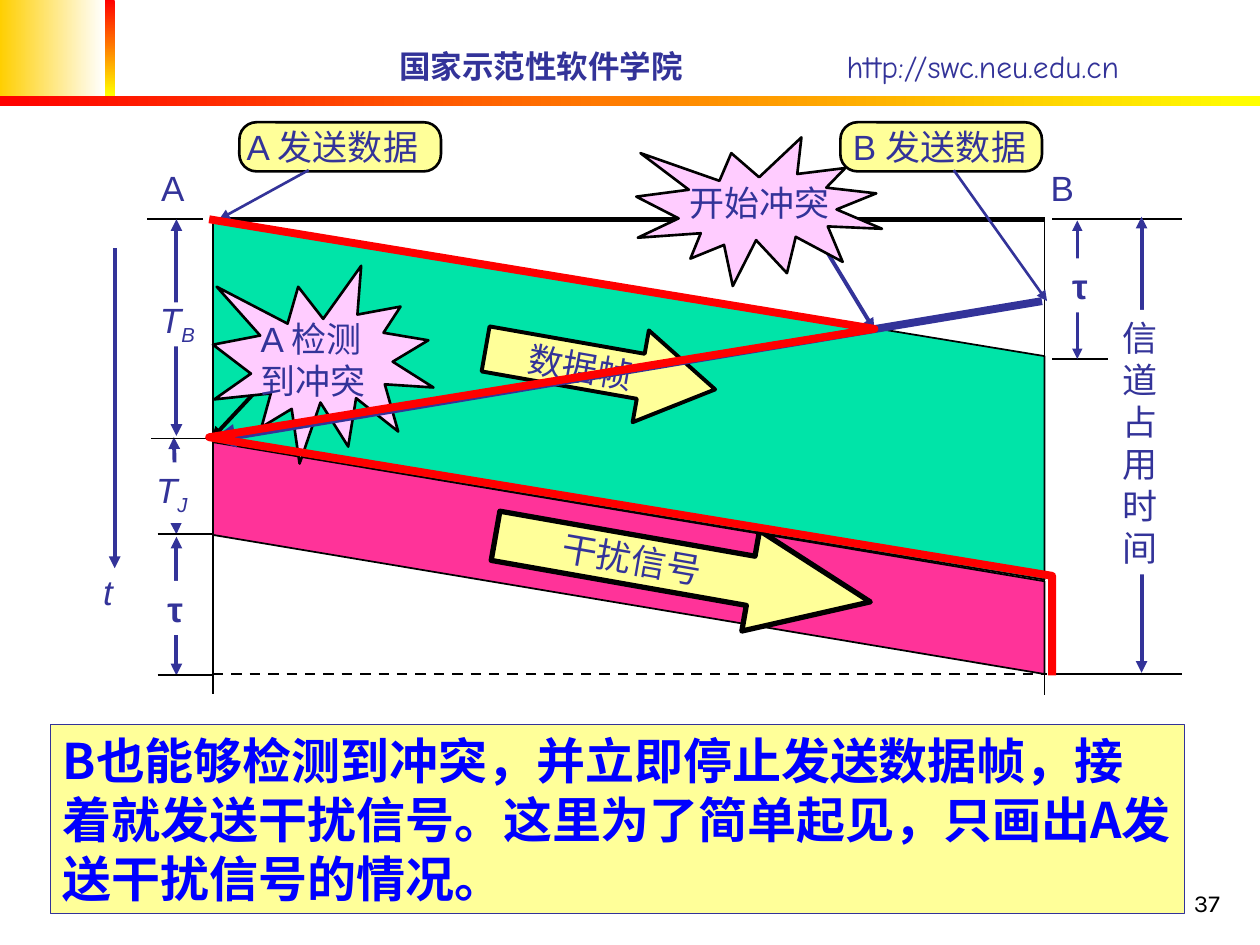
from dataclasses import dataclass
from typing import Any

from lxml.etree import SubElement
from pptx import Presentation
from pptx.dml.color import RGBColor
from pptx.enum.dml import MSO_LINE
from pptx.enum.shapes import MSO_CONNECTOR, MSO_SHAPE
from pptx.enum.text import MSO_ANCHOR, MSO_AUTO_SIZE, PP_ALIGN
from pptx.oxml.ns import qn
from pptx.util import Emu, Pt

SCALE = 9144  # EMU in one px, 100 px to the inch
COLORS = {
    "ink": "333399", "black": "000000", "white": "FFFFFF", "red": "FF0000",
    "yellow": "FFFF00", "gold": "FFCF01", "cream": "FFFF99", "green": "00E4A8",
    "pink": "FF3399", "lilac": "FFCCFF", "blue": "0000FF",
}
Frame = tuple[int, int, int, int]


@dataclass(frozen=True)
class Block:
    kind: MSO_SHAPE
    frame: Frame
    fill: str
    border: float = 0
    adjustments: tuple[float, ...] = ()
    rotation: float = 0
    border_color: str = "black"


@dataclass(frozen=True)
class Label:
    """Lines of text; a part after an underscore is set as subscript."""
    text: str
    frame: Frame
    size: int = 20
    font: str = "Arial"
    color: str = "ink"
    bold: bool = False
    italic: bool = False
    fill: str = ""
    rotation: float = 0
    wrap: bool = False
    align: PP_ALIGN = PP_ALIGN.LEFT
    anchor: MSO_ANCHOR = MSO_ANCHOR.TOP


@dataclass(frozen=True)
class Stroke:
    start: tuple[int, int]
    end: tuple[int, int]
    width: float = 1
    color: str = "black"
    heads: tuple[str, ...] = ()
    dashed: bool = False


def px(*values: int) -> list[Emu]:
    return [Emu(value * SCALE) for value in values]


def rgb(name: str) -> RGBColor:
    return RGBColor.from_string(COLORS[name])


def set_all(target: Any, values: dict[str, Any]) -> None:
    for name, value in values.items():
        setattr(target, name, value)


def draw_gradient(page: Any, frame: Frame, colors: tuple[str, str], angle: int) -> None:
    box = page.shapes.add_shape(MSO_SHAPE.RECTANGLE, *px(*frame))
    box.shadow.inherit = False
    box.line.fill.background()
    box.fill.gradient()
    box.fill.gradient_angle = angle
    for stop, color in zip(box.fill.gradient_stops, colors):
        stop.color.rgb = rgb(color)


def draw_block(page: Any, block: Block) -> None:
    box = page.shapes.add_shape(block.kind, *px(*block.frame))
    box.shadow.inherit = False
    box.rotation = block.rotation
    for index, value in enumerate(block.adjustments):
        box.adjustments[index] = value
    box.fill.solid()
    box.fill.fore_color.rgb = rgb(block.fill)
    if block.border:
        box.line.width = Pt(block.border)
        box.line.color.rgb = rgb(block.border_color)
    else:
        box.line.fill.background()


def add_span(para: Any, text: str, label: Label, bold: bool) -> Any:
    span = para.add_run()
    span.text = text
    set_all(span.font, {"size": Pt(label.size), "name": label.font,
                        "bold": bold, "italic": label.italic})
    span.font.color.rgb = rgb(label.color)
    return span


def draw_label(page: Any, label: Label) -> None:
    box = page.shapes.add_textbox(*px(*label.frame))
    box.rotation = label.rotation
    if label.fill:
        box.fill.solid()
        box.fill.fore_color.rgb = rgb(label.fill)
    frame = box.text_frame
    set_all(frame, {"word_wrap": label.wrap, "vertical_anchor": label.anchor,
                    "auto_size": MSO_AUTO_SIZE.NONE if label.wrap
                    else MSO_AUTO_SIZE.SHAPE_TO_FIT_TEXT})
    for index, line in enumerate(label.text.split("\n")):
        para = frame.add_paragraph() if index else frame.paragraphs[0]
        para.alignment = label.align
        base, _, subscript = line.partition("_")
        add_span(para, base, label, label.bold)
        if subscript:
            span = add_span(para, subscript, label, label.bold)
            span.font._element.set("baseline", "-25000")


def draw_stroke(page: Any, stroke: Stroke) -> None:
    line = page.shapes.add_connector(MSO_CONNECTOR.STRAIGHT, *px(*stroke.start, *stroke.end))
    line.line.width = Pt(stroke.width)
    line.line.color.rgb = rgb(stroke.color)
    if stroke.dashed:
        line.line.dash_style = MSO_LINE.DASH
    for head in stroke.heads:
        SubElement(line.line._get_or_add_ln(), qn(f"a:{head}"), type="triangle")
    SubElement(line._element.spPr, qn("a:effectLst"))


def draw_header(page: Any) -> None:
    draw_gradient(page, (0, 0, 83, 76), ("gold", "white"), 0)
    draw_gradient(page, (83, 0, 8, 76), ("red", "yellow"), 270)
    draw_gradient(page, (0, 76, 1000, 8), ("red", "yellow"), 0)
    style = {"size": 18, "font": "Comic Neue", "wrap": True, "anchor": MSO_ANCHOR.MIDDLE}
    draw_label(page, Label("国家示范性软件学院", (307, 32, 300, 40), bold=True, **style))
    draw_label(page, Label("http://swc.neu.edu.cn", (662, 32, 315, 40), **style))


def draw_channel_path(page: Any) -> None:
    points = [(166, 174), (694, 261), (166, 347), (835, 457), (835, 536)]
    builder = page.shapes.build_freeform(*points[0], scale=SCALE)
    builder.add_line_segments(points[1:], close=False)
    outline = builder.convert_to_shape()
    outline.shadow.inherit = False
    outline.fill.background()
    outline.line.width = Pt(4.5)
    outline.line.color.rgb = rgb("red")


BOTH = ("headEnd", "tailEnd")
TAIL = ("tailEnd",)
SEAL, ROUND, ARROW = MSO_SHAPE.EXPLOSION1, MSO_SHAPE.ROUNDED_RECTANGLE, MSO_SHAPE.RIGHT_ARROW
ITEMS: list[Block | Label | Stroke] = [
    Label("37", (770, 683, 208, 50), 14, "Karla", "black", wrap=True,
          align=PP_ALIGN.RIGHT, anchor=MSO_ANCHOR.BOTTOM),
    Block(MSO_SHAPE.PARALLELOGRAM, (356, -13, 286, 660), "green", 1, (0.38,), 90),
    Block(ARROW, (384, 256, 185, 74), "cream", 2.25, (0.49, 0.81), 10),
    Label("数据帧", (409, 270, 106, 44), rotation=10),
    Block(MSO_SHAPE.PARALLELOGRAM, (407, 113, 184, 660), "pink", 1, (0.6,), 90),
    Block(ARROW, (391, 411, 302, 81), "cream", 3, (0.49, 1.19), 10),
    Label("干扰信号", (436, 422, 131, 44), rotation=9.9),
    Stroke((140, 426), (140, 536), 2.25, "ink", BOTH),
    Stroke((138, 347), (140, 424), 2.25, "ink", BOTH),
    Label("τ", (123, 461, 32, 43), bold=True, fill="white"),
    Stroke((125, 424), (169, 424)),
    Stroke((125, 536), (169, 536)),
    Label("T_J", (114, 367, 45, 48), italic=True, fill="white"),
    Stroke((171, 174), (829, 174), 3),
    Stroke((169, 175), (169, 551)),
    Stroke((835, 174), (938, 174)),
    Stroke((835, 285), (879, 285)),
    Stroke((855, 175), (855, 285), 1.5, "ink", BOTH),
    Label("A", (118, 127, 38, 43)),
    Label("B", (824, 127, 38, 43)),
    Stroke((91, 197), (91, 451), 2.25, "ink", TAIL),
    Stroke((829, 174), (829, 552)),
    Stroke((120, 348), (164, 348)),
    Stroke((117, 174), (161, 174)),
    Stroke((140, 174), (140, 346), 2.25, "ink", BOTH),
    Block(MSO_SHAPE.RECTANGLE, (124, 240, 37, 35), "white"),
    Label("T_B", (117, 232, 48, 48), italic=True),
    Label("t", (72, 448, 27, 44), italic=True),
    Stroke((169, 535), (831, 535), 1.5, dashed=True),
    Label("τ", (841, 205, 32, 43), bold=True, fill="white"),
    Block(ROUND, (667, 97, 160, 39), "cream", 1.5, (0.35,)),
    Label("B 发送数据", (667, 95, 164, 44)),
    Stroke((757, 135), (831, 239), 1.5, "ink", TAIL),
    Stroke((227, 285), (168, 348), 2.25, "black", TAIL),
    Block(SEAL, (169, 211, 175, 157), "lilac", 1.5),
    Label("A 检测\n到冲突", (197, 247, 108, 77)),
    Stroke((654, 196), (694, 262), 2.25, "ink", TAIL),
    Block(SEAL, (505, 109, 195, 118), "lilac", 1.5),
    Label("开始冲突", (537, 139, 131, 44)),
    Stroke((838, 535), (938, 535)),
    Stroke((906, 172), (906, 534), 2.25, "ink", BOTH),
    Label("\n".join("信道占用时间"), (881, 246, 48, 210), fill="white"),
    Block(ROUND, (190, 97, 160, 39), "cream", 1.5, (0.35,)),
    Label("A 发送数据", (186, 95, 164, 44)),
    Stroke((245, 135), (174, 174), 1.5, "ink", TAIL),
    Stroke((827, 239), (168, 349), 4.5, "ink", TAIL),
    Block(MSO_SHAPE.RECTANGLE, (40, 575, 900, 150), "cream", 0.75, border_color="ink"),
    Label("B也能够检测到冲突，并立即停止发送数据帧，接着就发送干扰信号。"
          "这里为了简单起见，只画出A发送干扰信号的情况。",
          (40, 575, 900, 150), 28, "Noto Sans CJK SC", "blue", bold=True, wrap=True),
]
DRAWERS = {Block: draw_block, Label: draw_label, Stroke: draw_stroke}


def main() -> None:
    deck = Presentation()
    deck.slide_width, deck.slide_height = px(1000, 750)
    page = deck.slides.add_slide(deck.slide_layouts[6])
    draw_header(page)
    for item in ITEMS:
        DRAWERS[type(item)](page, item)
    draw_channel_path(page)
    deck.save("out.pptx")


if __name__ == "__main__":
    main()
